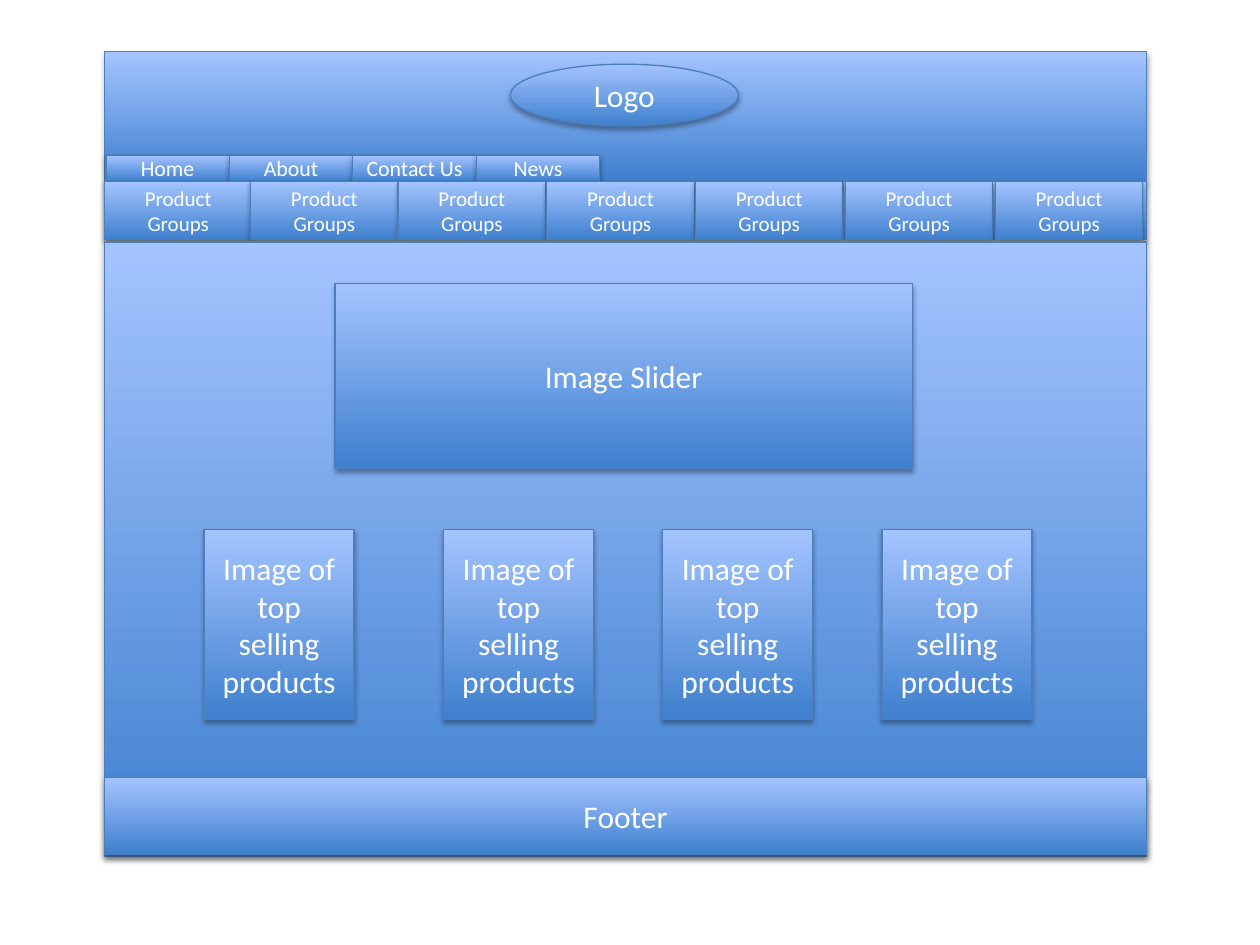
from dataclasses import dataclass
from lxml.etree import SubElement
from pptx import Presentation
from pptx.dml.color import RGBColor
from pptx.enum.shapes import MSO_SHAPE
from pptx.enum.text import MSO_ANCHOR, PP_ALIGN
from pptx.oxml.ns import qn
from pptx.util import Inches, Pt


@dataclass
class Theme:
    dark: str = "3F80CE"
    light: str = "A4C4FF"
    edge: str = "4B7EBC"
    text: str = "FFFFFF"
    shade: str = "000000"
    font: str = "Calibri"
    body: float = 18
    tab: float = 12.5
    group: float = 12


def write(frame, text, size, color, font):
    frame.word_wrap = True
    frame.vertical_anchor = MSO_ANCHOR.MIDDLE
    para = frame.paragraphs[0]
    para.alignment = PP_ALIGN.CENTER
    run = para.add_run()
    run.text = text
    run.font.size = Pt(size)
    run.font.name = font
    run.font.color.rgb = RGBColor.from_string(color)


class Page:
    def __init__(self, slide, theme):
        self.slide = slide
        self.theme = theme

    def block(self, left, top, width, height, text="", size=None,
              kind=MSO_SHAPE.RECTANGLE):
        theme = self.theme
        shape = self.slide.shapes.add_shape(
            kind, Inches(left), Inches(top), Inches(width), Inches(height))
        # Gradient runs from dark at the bottom to light at the top
        shape.fill.gradient()
        shape.fill.gradient_angle = 90
        for stop, color in zip(shape.fill.gradient_stops,
                               (theme.dark, theme.light)):
            stop.color.rgb = RGBColor.from_string(color)
        shape.line.color.rgb = RGBColor.from_string(theme.edge)
        shape.line.width = Pt(0.75)
        self.shadow(shape)
        if text:
            write(shape.text_frame, text, size=size or theme.body,
                  color=theme.text, font=theme.font)

    def oval(self, *box, text):
        self.block(*box, text=text, kind=MSO_SHAPE.OVAL)

    def row(self, lefts, top, width, height, labels, size=None):
        for left, label in zip(lefts, labels):
            self.block(left, top, width, height, label, size)

    def shadow(self, shape):
        shape.shadow.inherit = False
        effects = shape._element.spPr.find(qn("a:effectLst"))
        outer = SubElement(effects, qn("a:outerShdw"), blurRad=str(Pt(3.1)),
                           dist=str(Pt(1.8)), dir="5400000", rotWithShape="0")
        color = SubElement(outer, qn("a:srgbClr"), val=self.theme.shade)
        SubElement(color, qn("a:alpha"), val="35000")


deck = Presentation()
deck.slide_width, deck.slide_height = Inches(10), Inches(7.5)
theme = Theme()
page = Page(deck.slides.add_slide(deck.slide_layouts[6]), theme)
left, wide = 0.83, 8.27

# Header with site tabs
page.block(left, 0.41, wide, 1.02)
tabs = ["Home", "About", "Contact Us", "News"]
page.row([0.84 + 0.98 * i for i in range(len(tabs))],
         1.23, 0.98, 0.21, tabs, theme.tab)
page.oval(4.05, 0.51, 1.81, 0.49, text="Logo")

# Product menu
page.block(left, 1.44, wide, 0.46)
groups = [left, 1.99, 3.16, 4.34, 5.52, 6.71, 7.9]
page.row(groups, 1.44, 1.17, 0.46,
         ["Product Groups"] * len(groups), theme.group)

# Main area
page.block(left, 1.92, wide, 4.88)
page.block(2.66, 2.25, 4.58, 1.47, "Image Slider")
cards = [1.62, 3.52, 5.26, 7]
page.row(cards, 4.2, 1.19, 1.51,
         ["Image of top selling products"] * len(cards))

# Footer
page.block(left, 6.17, wide, 0.61, "Footer")

deck.save("out.pptx")
